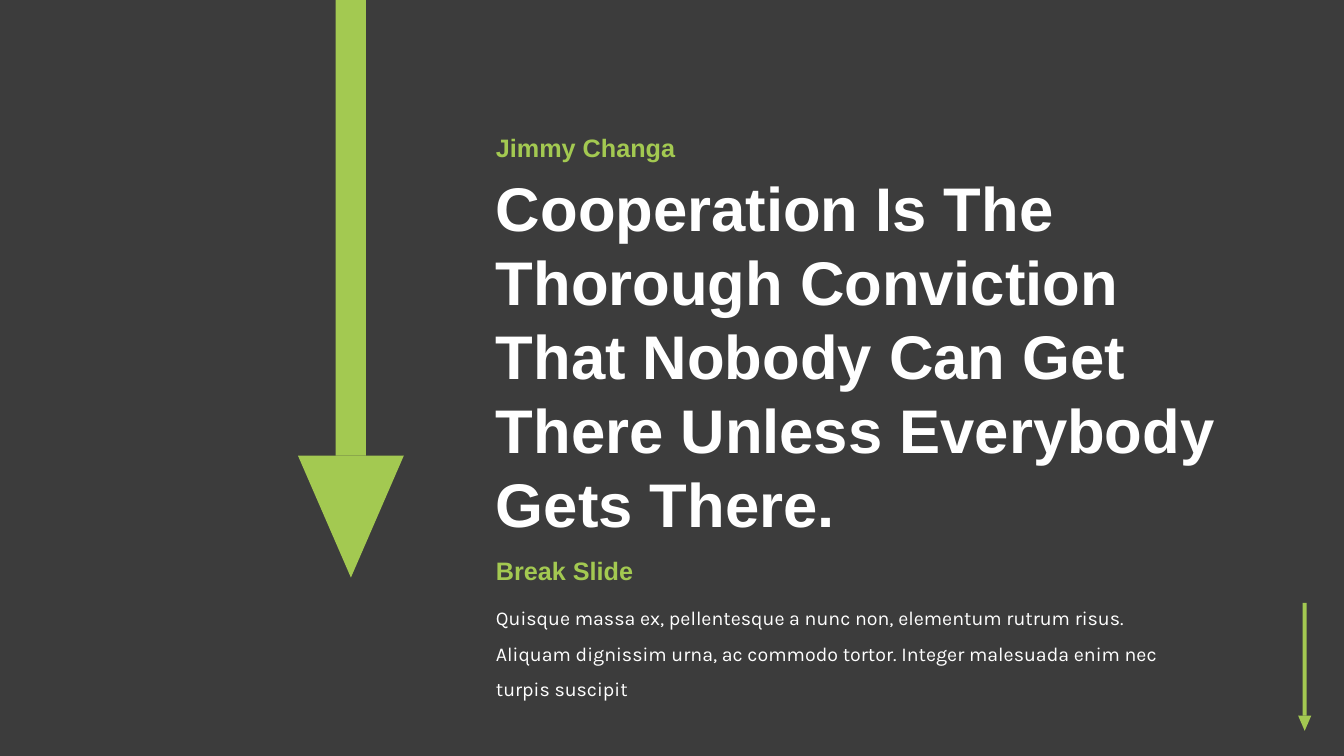
from lxml.etree import SubElement
from pptx import Presentation
from pptx.dml.color import RGBColor
from pptx.enum.shapes import MSO_SHAPE
from pptx.enum.text import MSO_AUTO_SIZE
from pptx.oxml.ns import qn
from pptx.util import Inches, Pt

DARK = RGBColor(0x3C, 0x3C, 0x3C)
GREEN = RGBColor(0xA3, 0xC9, 0x51)
WHITE = RGBColor(0xFF, 0xFF, 0xFF)

# Content: lines, box, format
TEXTS = [
    (["Cooperation Is The", "Thorough Conviction", "That Nobody Can Get",
      "There Unless Everybody", "Gets There."],
     (4.82, 1.64, 7.72, 3.8), dict(size=44, bold=True)),
    (["Jimmy Changa"], (4.82, 1.26, 2.42, 0.4),
     dict(size=18, bold=True, color=GREEN)),
    (["Quisque massa ex, pellentesque a nunc non, elementum rutrum risus. "
      "Aliquam dignissim urna, ac commodo tortor. Integer malesuada enim nec "
      "turpis suscipit"],
     (4.82, 5.85, 7.21, 0.77), dict(size=14, font="Karla", space=1.5)),
    (["Break Slide"], (4.82, 5.46, 2.23, 0.4),
     dict(size=18, bold=True, color=GREEN)),
]

# Arrows: centre x, top, stem width, stem length, head width, head height
ARROWS = [
    (12.94, 5.98, 0.04, 1.12, 0.13, 0.15),
    (3.48, -0.39, 0.3, 4.91, 1.05, 1.21),
]

deck = Presentation()
deck.slide_width, deck.slide_height = Inches(13.33), Inches(7.5)
slide = deck.slides.add_slide(deck.slide_layouts[6])
slide.background.fill.solid()
slide.background.fill.fore_color.rgb = DARK


def add_form(kind, box, color, home=slide):
    form = home.shapes.add_shape(kind, *map(Inches, box))
    form.shadow.inherit = False
    form.fill.solid()
    form.fill.fore_color.rgb = color
    form.line.fill.background()
    return form


def add_arrow(mid, top, stem, length, width, height):
    group = slide.shapes.add_group_shape()
    add_form(MSO_SHAPE.RECTANGLE, (mid - stem / 2, top, stem, length),
             GREEN, group)
    head = add_form(MSO_SHAPE.ISOSCELES_TRIANGLE,
                    (mid - width / 2, top + length, width, height),
                    GREEN, group)
    head.rotation = 180


def add_text(lines, box, size=18, font="Arial", color=WHITE, bold=False,
             space=None):
    frame = slide.shapes.add_textbox(*map(Inches, box)).text_frame
    frame.word_wrap = True
    frame.auto_size = MSO_AUTO_SIZE.SHAPE_TO_FIT_TEXT
    frame.text = "\n".join(lines)
    for para in frame.paragraphs:
        para.line_spacing = space
        style = para.runs[0].font
        style.size, style.name, style.bold = Pt(size), font, bold
        style.color.rgb = color


# Tinted panel, 85% opaque
panel = add_form(MSO_SHAPE.RECTANGLE, (1.96, 0, 11.38, 7.5), DARK)
tint = panel.fill._xPr.find(qn("a:solidFill"))[0]
SubElement(tint, qn("a:alpha"), val="85000")

# Arrows and text
for arrow in ARROWS:
    add_arrow(*arrow)
for lines, box, look in TEXTS:
    add_text(lines, box, **look)

deck.save("out.pptx")
